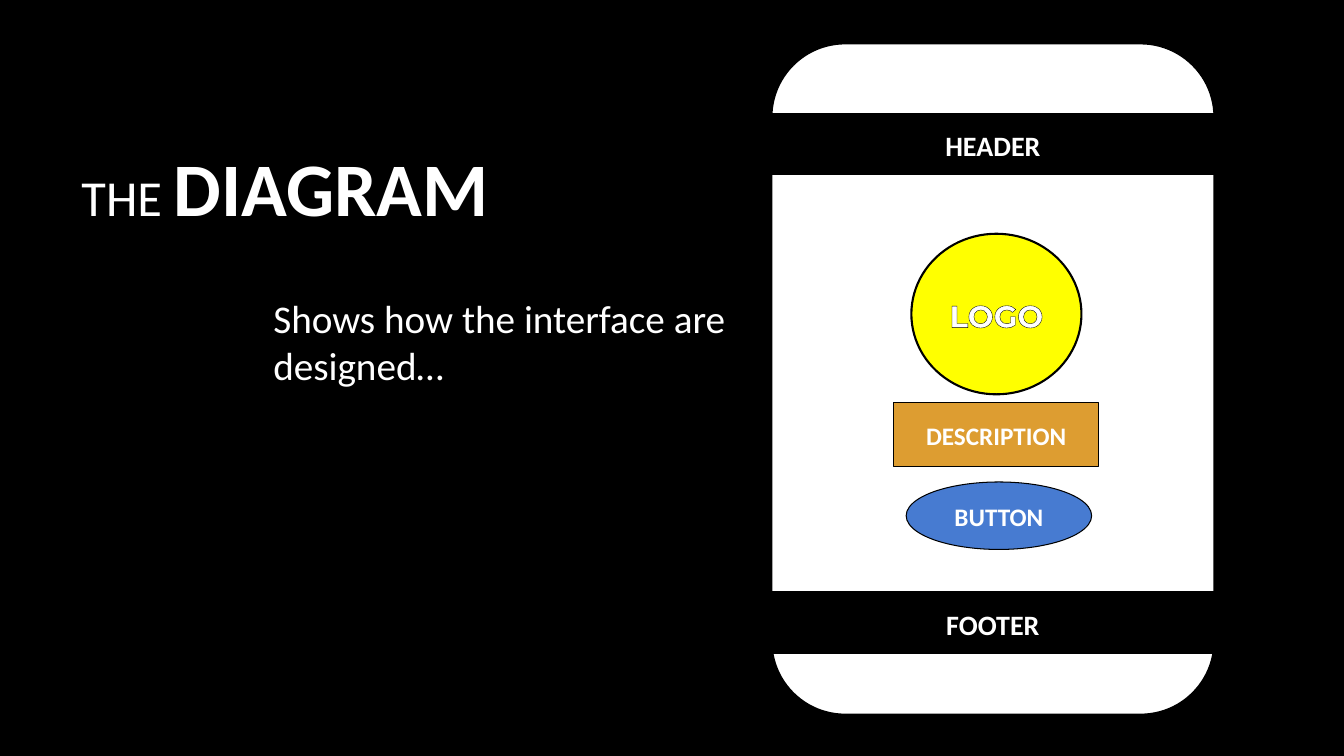
from lxml.etree import SubElement
from pptx import Presentation
from pptx.dml.color import RGBColor
from pptx.enum.shapes import MSO_SHAPE as Shape
from pptx.enum.text import MSO_ANCHOR as Anchor, MSO_AUTO_SIZE as AutoSize, PP_ALIGN as Align
from pptx.oxml.ns import qn
from pptx.util import Pt

COLORS = {
    "black": "000000",
    "white": "FFFFFF",
    "yellow": "FFFF00",
    "orange": "DD9D31",
    "blue": "477BD1",
}


def color(name):
    return RGBColor.from_string(COLORS[name])


class DiagramSlide:
    """Holds the text style and the slide being built."""

    font = "Calibri"
    text_color = "white"

    def __init__(self, presentation):
        self.slide = presentation.slides.add_slide(presentation.slide_layouts[1])
        fill = self.slide.background.fill
        fill.solid()
        fill.fore_color.rgb = color("black")

    def run(self, paragraph, text, size, bold=False, font=None):
        run = paragraph.add_run()
        run.text = text
        run.font.name = font or self.font
        run.font.size = Pt(size)
        run.font.bold = bold
        run.font.color.rgb = color(self.text_color)
        return run

    def outline(self, run, width):
        properties = run.font._element
        line = SubElement(properties, qn("a:ln"), w=str(Pt(width)))
        fill = SubElement(line, qn("a:solidFill"))
        SubElement(fill, qn("a:srgbClr"), val=COLORS["black"])
        properties.insert(0, line)

    def placeholder(self, placeholder, box, runs, anchor, auto_size):
        placeholder.left, placeholder.top, placeholder.width, placeholder.height = map(Pt, box)
        frame = placeholder.text_frame
        frame.word_wrap = True
        frame.vertical_anchor = anchor
        frame.auto_size = auto_size
        paragraph = frame.paragraphs[0]
        paragraph.alignment = Align.LEFT
        paragraph.line_spacing = 1.0
        paragraph.space_before = Pt(0)
        for text, size, bold in runs:
            self.run(paragraph, text, size, bold)
        return paragraph

    def title(self, box, runs):
        self.placeholder(self.slide.shapes.title, box, runs, Anchor.MIDDLE, AutoSize.NONE)

    def body(self, box, runs):
        paragraph = self.placeholder(
            self.slide.placeholders[1], box, runs, Anchor.TOP, AutoSize.SHAPE_TO_FIT_TEXT)
        properties = paragraph._p.get_or_add_pPr()
        properties.set("marL", "0")
        properties.set("indent", "0")
        SubElement(properties, qn("a:buNone"))

    def block(self, kind, box, fill, line_width):
        shape = self.slide.shapes.add_shape(kind, *map(Pt, box))
        shape.shadow.inherit = False
        shape.fill.solid()
        shape.fill.fore_color.rgb = color(fill)
        shape.line.color.rgb = color("black")
        shape.line.width = Pt(line_width)
        return shape

    def label(self, shape, text, size, font=None):
        frame = shape.text_frame
        frame.word_wrap = True
        frame.vertical_anchor = Anchor.MIDDLE
        paragraph = frame.paragraphs[0]
        paragraph.alignment = Align.CENTER
        paragraph.line_spacing = 1.07
        paragraph.space_after = Pt(8)
        return self.run(paragraph, text, size, True, font)


def main():
    presentation = Presentation()
    presentation.slide_width, presentation.slide_height = Pt(960), Pt(540)
    diagram = DiagramSlide(presentation)

    # Title and explanation
    diagram.title((51, 75.6, 488, 114.5), [("THE ", 36, False), ("DIAGRAM", 54, True)])
    diagram.body((188, 206.6, 340, 75), [("Shows how the interface are designed…", 28, False)])

    # Phone screen with its header and footer bands
    phone_left, phone_width = 551, 316.5
    diagram.block(Shape.ROUNDED_RECTANGLE, (phone_left, 31, phone_width, 479.5), "white", 1.5)
    for text, top in (("HEADER", 81.2), ("FOOTER", 423.2)):
        band = diagram.block(Shape.RECTANGLE, (phone_left, top, phone_width, 43.2), "black", 1.5)
        diagram.label(band, text, 20)

    # Logo circle
    logo = diagram.block(Shape.OVAL, (651, 167, 121.5, 114.7), "yellow", 1.5)
    diagram.outline(diagram.label(logo, "LOGO", 22, "Montserrat"), 0.75)

    # Description and button
    for text, kind, box, fill in (
        ("DESCRIPTION", Shape.RECTANGLE, (638.3, 287.5, 146.4, 45.5), "orange"),
        ("BUTTON", Shape.OVAL, (647.3, 344.3, 132.5, 48.2), "blue"),
    ):
        diagram.label(diagram.block(kind, box, fill, 0.75), text, 18)

    presentation.save("out.pptx")


if __name__ == "__main__":
    main()
